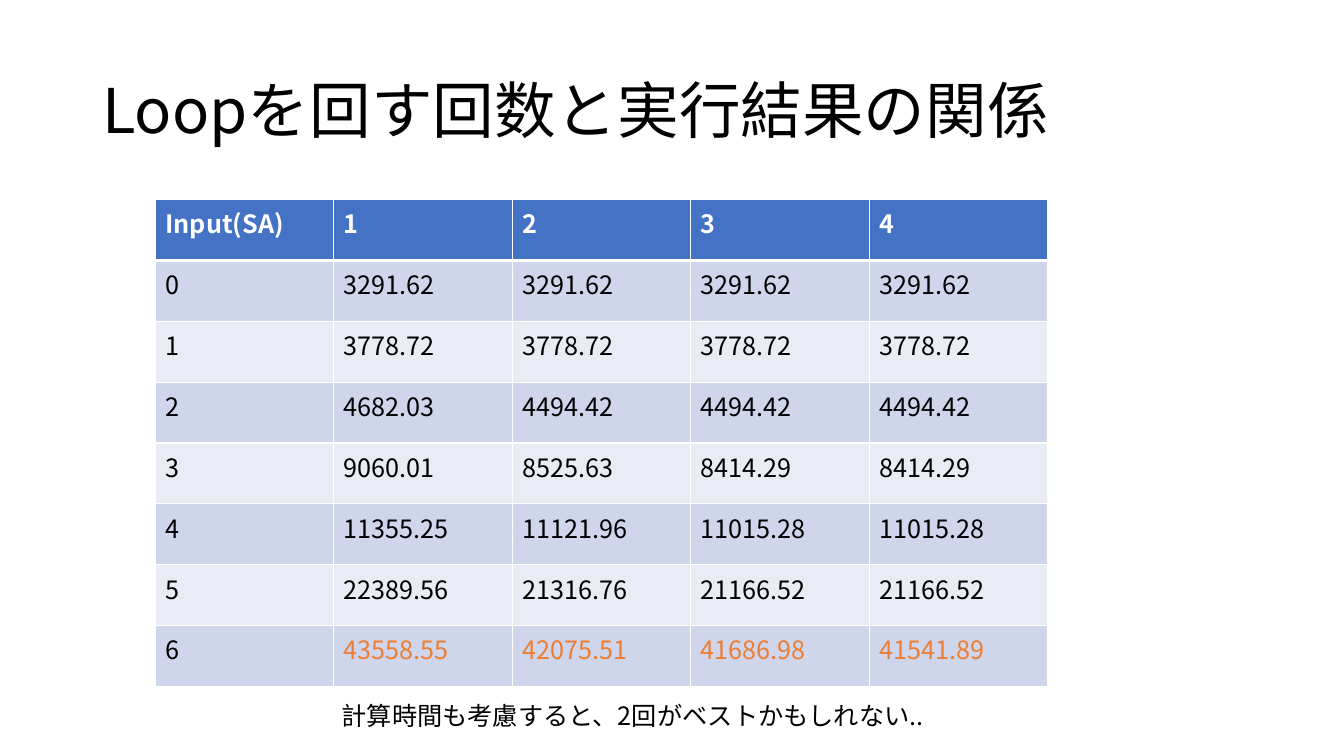
from lxml import etree
from pptx import Presentation
from pptx.dml.color import RGBColor
from pptx.enum.text import MSO_ANCHOR
from pptx.oxml.ns import qn
from pptx.util import Emu, Pt

TOP = MSO_ANCHOR.TOP
MIDDLE = MSO_ANCHOR.MIDDLE
PX = 6350
FONT = "Noto Sans CJK JP"
COLORS = {
    "text": "000000",
    "white": "FFFFFF",
    "header": "4472C4",
    "odd": "CFD5EA",
    "even": "E9EBF5",
    "highlight": "ED7D31",
}
RESULTS = [
    ["Input(SA)", "1", "2", "3", "4"],
    ["0", "3291.62", "3291.62", "3291.62", "3291.62"],
    ["1", "3778.72", "3778.72", "3778.72", "3778.72"],
    ["2", "4682.03", "4494.42", "4494.42", "4494.42"],
    ["3", "9060.01", "8525.63", "8414.29", "8414.29"],
    ["4", "11355.25", "11121.96", "11015.28", "11015.28"],
    ["5", "22389.56", "21316.76", "21166.52", "21166.52"],
    ["6", "43558.55", "42075.51", "41686.98", "41541.89"],
]


class SlideBuilder:
    """Draw styled text and tables on one slide, measured in px."""

    def __init__(self, page):
        self.page = page

    def style(self, para, size, color, bold=False):
        for span in para.runs:
            span.font.name = FONT
            span.font.size = Pt(size)
            span.font.bold = bold
            span.font.color.rgb = RGBColor.from_string(COLORS[color])
            east_asian = etree.Element(qn("a:ea"), typeface=FONT)
            span.font._element.find(qn("a:latin")).addnext(east_asian)

    def text(self, left, top, width, height, words, size, anchor=TOP, spacing=1.0):
        box = self.page.shapes.add_textbox(*(Emu(n * PX) for n in (left, top, width, height)))
        frame = box.text_frame
        frame.word_wrap = True
        frame.vertical_anchor = anchor
        frame.text = words
        para = frame.paragraphs[0]
        para.line_spacing = spacing
        self.style(para, size, "text")

    def borders(self, cell, widths):
        properties = cell._tc.get_or_add_tcPr()
        for side, width in widths.items():
            line = etree.SubElement(properties, qn(f"a:ln{side}"), w=str(Pt(width)))
            fill = etree.SubElement(line, qn("a:solidFill"))
            etree.SubElement(fill, qn("a:srgbClr"), val=COLORS["white"])

    def cell(self, cell, words, fill, color, bold, widths):
        self.borders(cell, widths)
        cell.fill.solid()
        cell.fill.fore_color.rgb = RGBColor.from_string(COLORS[fill])
        cell.text_frame.text = words
        self.style(cell.text_frame.paragraphs[0], 18, color, bold)

    def table(self, left, top, column_width, row_height, rows):
        size = (column_width * len(rows[0]), row_height * len(rows))
        frame = self.page.shapes.add_table(
            len(rows), len(rows[0]), *(Emu(n * PX) for n in (left, top, *size))
        )
        last = len(rows) - 1
        for r, row in enumerate(rows):
            header = r == 0
            fill = "header" if header else "odd" if r % 2 else "even"
            widths = {"L": 1, "R": 1, "T": 3 if r == 1 else 1, "B": 3 if header else 1}
            for c, words in enumerate(row):
                color = "white" if header else "highlight" if r == last and c else "text"
                self.cell(frame.table.cell(r, c), words, fill, color, header, widths)


def main():
    deck = Presentation()
    deck.slide_width = Emu(1920 * PX)
    deck.slide_height = Emu(1080 * PX)
    slide = SlideBuilder(deck.slides.add_slide(deck.slide_layouts[6]))
    slide.text(132, 58, 1656, 209, "Loopを回す回数と実行結果の関係", 44, MIDDLE, 0.9)
    slide.table(222, 285, 255, 87, RESULTS)
    slide.text(474, 994, 1024, 58, "計算時間も考慮すると、2回がベストかもしれない..", 18)
    deck.save("out.pptx")


if __name__ == "__main__":
    main()
